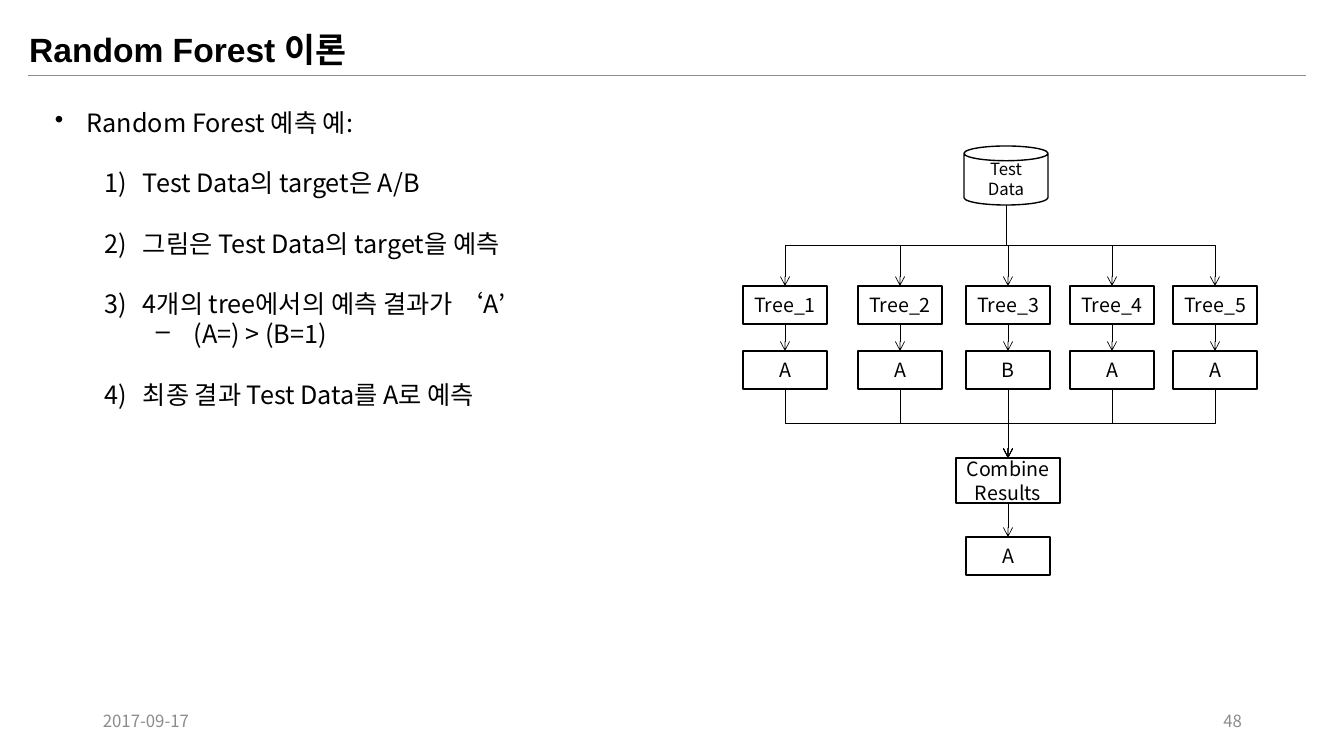
from lxml import etree
from pptx import Presentation
from pptx import util as u
from pptx.dml.color import RGBColor
from pptx.enum import shapes, text
from pptx.oxml.ns import qn

BLACK = RGBColor(0, 0, 0)
GRAY = RGBColor(0x8C, 0x8C, 0x8C)
FONT = "Noto Sans CJK KR"
SCALE = 914400 / 100.8

TITLE = "Random Forest 이론"
# level, text, space before in points
BODY = [
    (0, "Random Forest 예측 예:", 0),
    (1, "Test Data의 target은 A/B", 21.6),
    (1, "그림은 Test Data의 target을 예측", 21.6),
    (1, "4개의 tree에서의 예측 결과가 ‘A’", 21.6),
    (2, "(A=) > (B=1)", 0),
    (1, "최종 결과 Test Data를 A로 예측", 21.6),
]
# level: left margin, indent, bullet tag, bullet attributes
MARKS = {
    0: (32, -32, "a:buChar", {"char": "•"}),
    1: (88, -38, "a:buAutoNum", {"type": "arabicParenR"}),
    2: (139, -38, "a:buChar", {"char": "–"}),
}
# center, name, vote
TREES = [
    (785, "Tree_1", "A"),
    (900, "Tree_2", "A"),
    (1008, "Tree_3", "B"),
    (1112, "Tree_4", "A"),
    (1215, "Tree_5", "A"),
]
MID = 1008
BOX_W, BOX_H = 84, 38
TREE_Y, VOTE_Y = 286, 351
FOOT = [(93, "2017-09-17", text.PP_ALIGN.LEFT), (950, "48", text.PP_ALIGN.RIGHT)]


def px(n):
    return u.Emu(round(n * SCALE))


def style(par, size, color=BLACK, name=FONT, bold=False):
    font = par.font
    font.size, font.name, font.bold = u.Pt(size), name, bold
    font.color.rgb = color
    for run in par.runs:
        etree.SubElement(run._r.get_or_add_rPr(), qn("a:ea"), typeface=FONT)


def node(kind, mid, top, wide, high, lines, size=14):
    """Add an outlined shape centered on mid, one paragraph a line."""
    box = slide.shapes.add_shape(
        kind, px(mid - wide / 2), px(top), px(wide), px(high))
    box.shadow.inherit = False
    box.fill.background()
    box.line.color.rgb = BLACK
    box.line.width = u.Pt(1)
    frame = box.text_frame
    frame.margin_left = frame.margin_right = 0
    frame.margin_top = frame.margin_bottom = 0
    frame.vertical_anchor = text.MSO_ANCHOR.MIDDLE
    frame.text = "\n".join(lines)
    for par in frame.paragraphs:
        par.alignment = text.PP_ALIGN.CENTER
        style(par, size)
    return box


def wire(kind, ends, color=BLACK, head=True):
    link = slide.shapes.add_connector(kind, *ends)
    link.line.color.rgb = color
    link.line.width = u.Pt(0.5)
    if head:
        etree.SubElement(link.line._get_or_add_ln(), qn("a:tailEnd"), type="arrow")
    etree.SubElement(link._element.spPr, qn("a:effectLst"))
    return link


def join(src, dst, site=2):
    """Run an arrow from the bottom of src to the top of dst, bent if needed."""
    x1, y1 = src.left + src.width // 2, src.top + src.height
    x2, y2 = dst.left + dst.width // 2, dst.top
    gap, high = x2 - x1, y2 - y1
    bent = abs(gap) > px(1)
    kind = shapes.MSO_CONNECTOR.ELBOW if bent else shapes.MSO_CONNECTOR.STRAIGHT
    link = wire(kind, (x1, y1, x2, y2))
    link.begin_connect(src, site)
    link.end_connect(dst, 0)
    if bent:
        # A bent connector leaves sideways, so turn it to leave downwards.
        wide = abs(gap)
        form = link._element.spPr.find(qn("a:xfrm"))
        for key in ("flipH", "flipV"):
            form.attrib.pop(key, None)
        form.set("rot", str((270 if gap > 0 else 90) * 60000))
        if gap > 0:
            form.set("flipH", "1")
        link.left = u.Emu((x1 + x2 - high) // 2)
        link.top = u.Emu((y1 + y2 - wide) // 2)
        link.width, link.height = u.Emu(high), u.Emu(wide)


deck = Presentation()
deck.slide_width, deck.slide_height = px(1344), px(756)
slide = deck.slides.add_slide(deck.slide_layouts[5])

wire(shapes.MSO_CONNECTOR.STRAIGHT, (px(28), px(75), px(1306), px(75)), GRAY, False)

title = slide.shapes.title
title.left, title.top, title.width, title.height = px(19), px(24), px(1344), px(50)
title.text = TITLE
title.text_frame.vertical_anchor = text.MSO_ANCHOR.TOP
title.text_frame.paragraphs[0].alignment = text.PP_ALIGN.LEFT
style(title.text_frame.paragraphs[0], 24, name="Arial", bold=True)

body = slide.shapes.add_textbox(px(45), px(102), px(598), px(316)).text_frame
body.word_wrap = True
body.text = "\n".join(words for _, words, _ in BODY)
for par, (level, _, space) in zip(body.paragraphs, BODY):
    left, indent, tag, attrs = MARKS[level]
    par.level = level
    par.space_before = u.Pt(space)
    props = par._p.get_or_add_pPr()
    props.set("marL", str(px(left)))
    props.set("indent", str(px(indent)))
    etree.SubElement(props, qn(tag), attrs)
    style(par, 18)

RECT = shapes.MSO_SHAPE.RECTANGLE
data = node(shapes.MSO_SHAPE.CAN, 1006, 146, BOX_W, 59, ["Test", "Data"], 12)
merge = node(RECT, MID, 458, 104, 45, ["Combine", "Results"])
final = node(RECT, MID, 537, BOX_W, BOX_H, ["A"])
for mid, name, pick in TREES:
    tree = node(RECT, mid, TREE_Y, BOX_W, BOX_H, [name])
    vote = node(RECT, mid, VOTE_Y, BOX_W, BOX_H, [pick])
    join(data, tree, 3)
    join(tree, vote)
    join(vote, merge)
join(merge, final)

for left, words, side in FOOT:
    foot = slide.shapes.add_textbox(px(left), px(701), px(302), px(40)).text_frame
    foot.word_wrap = True
    foot.vertical_anchor = text.MSO_ANCHOR.MIDDLE
    foot.text = words
    foot.paragraphs[0].alignment = side
    style(foot.paragraphs[0], 12, GRAY)

deck.save("out.pptx")
